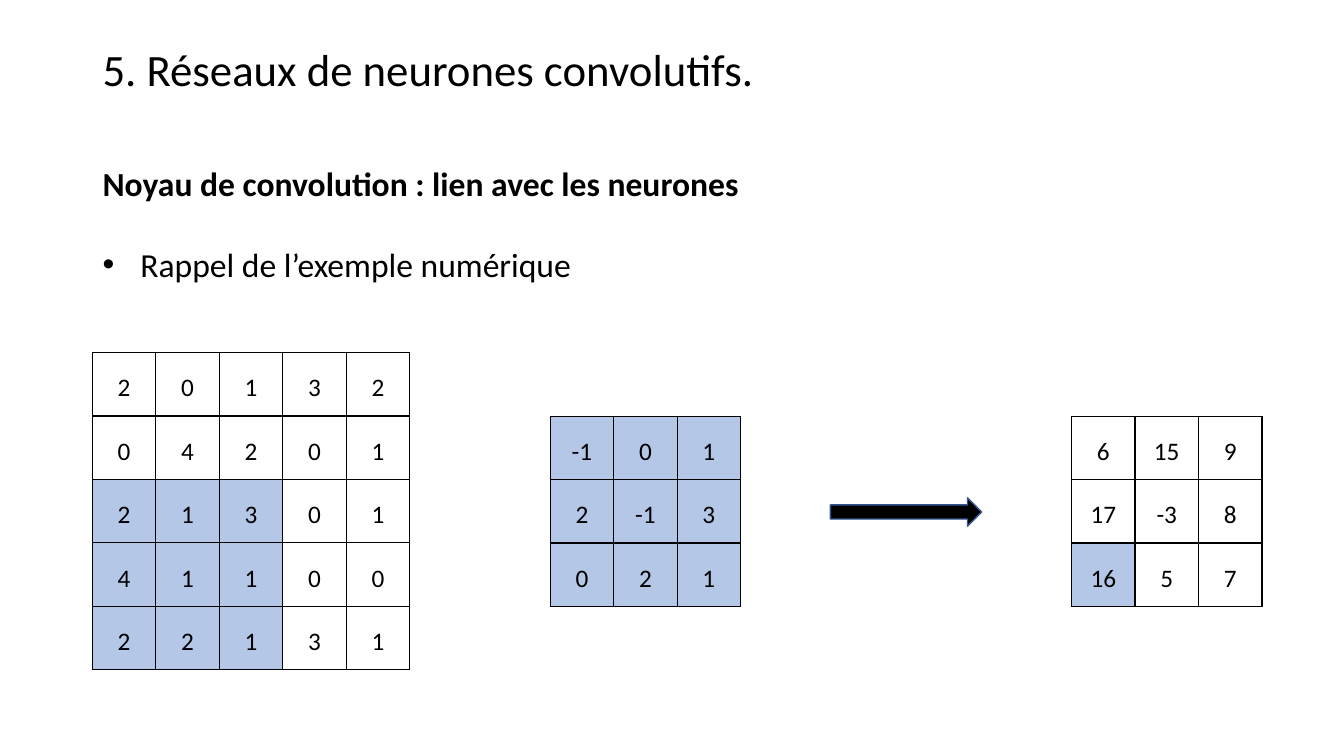
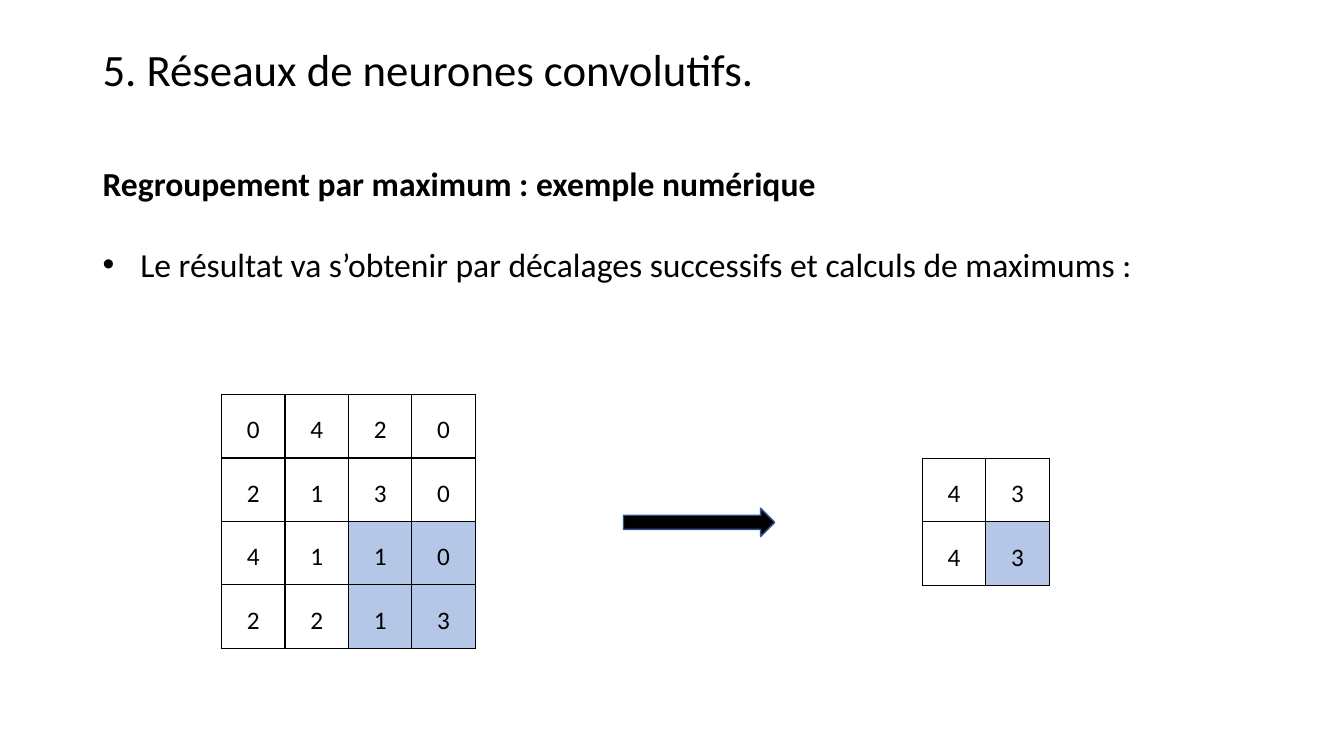
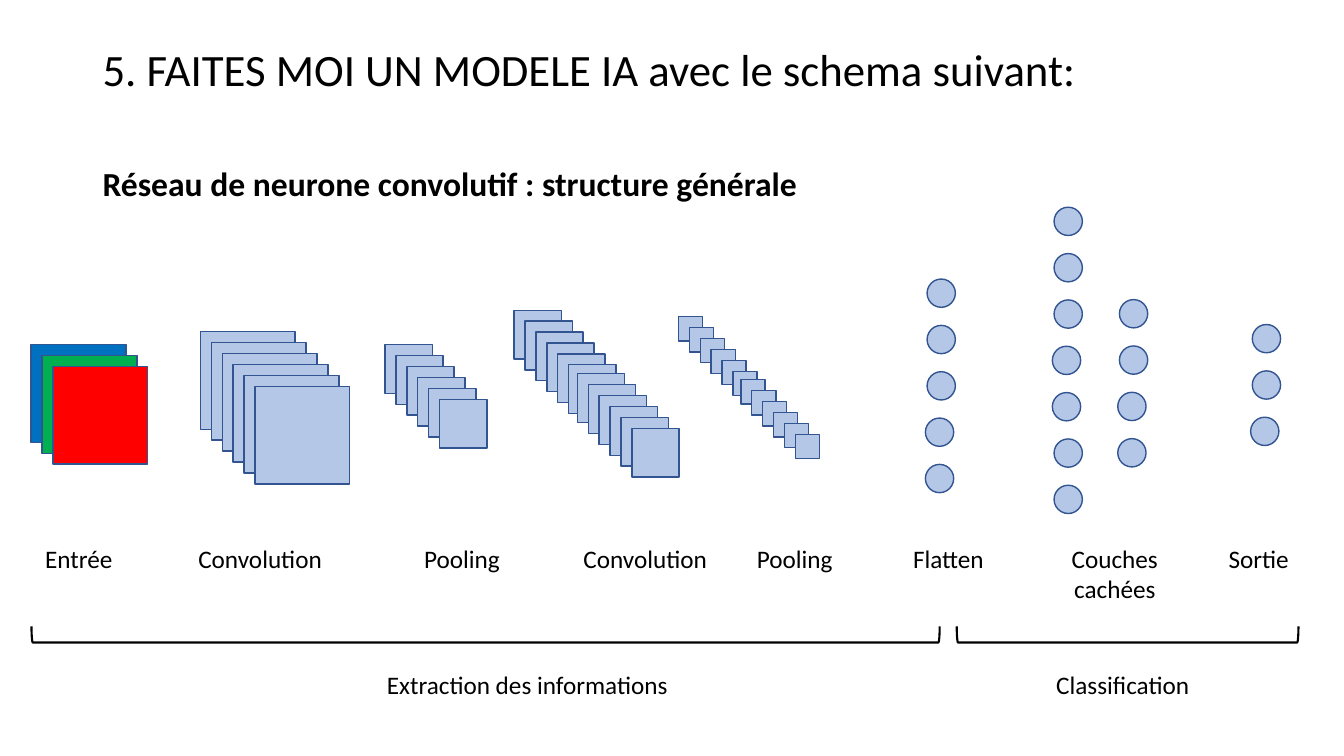
"""Build three slides on convolution, max pooling and the structure of a convolutional network."""
import dataclasses

import lxml.etree
import pptx
import pptx.dml.color
import pptx.enum.shapes
import pptx.enum.text
import pptx.oxml.ns
import pptx.util

Pt = pptx.util.Pt
Color = pptx.dml.color.RGBColor.from_string
Shape = pptx.enum.shapes.MSO_SHAPE
Align = pptx.enum.text.PP_ALIGN
Anchor = pptx.enum.text.MSO_ANCHOR
qualified = pptx.oxml.ns.qn


@dataclasses.dataclass(frozen=True)
class Theme:
    font: str = "Calibri"
    title_size: int = 32
    body_size: int = 24
    label_size: int = 18
    black: str = "000000"
    light_blue: str = "B4C7E7"
    outline: str = "325491"
    input_channels: tuple = ("0070C0", "00B050", "FF0000")


theme = Theme()


def write_text(frame, text, size=theme.label_size, bold=False, align=Align.LEFT,
               anchor=Anchor.TOP, spacing=1.0, before=0, bullet_indent=0):
    """Write a paragraph, after any text that the frame already holds."""
    frame.word_wrap = True
    frame.vertical_anchor = anchor
    paragraph = frame.add_paragraph() if frame.text else frame.paragraphs[0]
    paragraph.alignment = align
    paragraph.line_spacing = spacing
    paragraph.space_before = Pt(before)
    run = paragraph.add_run()
    run.text = text
    run.font.name = theme.font
    run.font.size = Pt(size)
    run.font.bold = bold
    run.font.color.rgb = Color(theme.black)
    if bullet_indent:
        properties = paragraph._p.get_or_add_pPr()
        properties.set("marL", str(Pt(bullet_indent)))
        properties.set("indent", str(-Pt(bullet_indent)))
        lxml.etree.SubElement(properties, qualified("a:buFont")).set("typeface", "Arial")
        lxml.etree.SubElement(properties, qualified("a:buChar")).set("char", "•")


def add_shape(slide, kind, left, top, width, height, fill=theme.light_blue,
              line=theme.outline, line_width=1):
    """Add a flat preset shape; a fill of None leaves it hollow."""
    shape = slide.shapes.add_shape(kind, Pt(left), Pt(top), Pt(width), Pt(height))
    shape.shadow.inherit = False
    if fill:
        shape.fill.solid()
        shape.fill.fore_color.rgb = Color(fill)
    else:
        shape.fill.background()
    shape.line.color.rgb = Color(line)
    shape.line.width = Pt(line_width)
    return shape


presentation = pptx.Presentation()
presentation.slide_width = Pt(960)
presentation.slide_height = Pt(540)

margin = 66.2
content_width = 828
cell_size = 45.35

pages = [
    {
        "title": "5. Réseaux de neurones convolutifs.",
        "heading": "Noyau de convolution : lien avec les neurones",
        "bullet": "Rappel de l’exemple numérique",
        "matrices": [
            (66, 251.8, ["2 0 1 3 2", "0 4 2 0 1", "2 1 3 0 1", "4 1 1 0 0", "2 2 1 3 1"],
             range(2, 5), range(0, 3)),
            (393, 297.2, ["-1 0 1", "2 -1 3", "0 2 1"], range(3), range(3)),
            (765.4, 297.2, ["6 15 9", "17 -3 8", "16 5 7"], range(2, 3), range(1)),
        ],
        "arrows": [(593.2, 355.6)],
    },
    {
        "title": "5. Réseaux de neurones convolutifs.",
        "heading": "Regroupement par maximum : exemple numérique",
        "bullet": "Le résultat va s’obtenir par décalages successifs et calculs de maximums :",
        "matrices": [
            (158.2, 281.8, ["0 4 2 0", "2 1 3 0", "4 1 1 0", "2 2 1 3"],
             range(2, 4), range(2, 4)),
            (658.8, 327.4, ["4 3", "4 3"], range(1, 2), range(1, 2)),
        ],
        "arrows": [(445.4, 363)],
    },
    {
        "title": "5. FAITES MOI UN MODELE IA avec le schema suivant:",
        "heading": "Réseau de neurone convolutif : structure générale",
        "bullet": None,
        "matrices": [],
        "arrows": [],
    },
]

for page in pages:
    slide = presentation.slides.add_slide(presentation.slide_layouts[6])
    title_box = slide.shapes.add_textbox(Pt(margin), Pt(28.8), Pt(content_width), Pt(45.4))
    write_text(title_box.text_frame, page["title"], size=theme.title_size,
               anchor=Anchor.MIDDLE, spacing=0.9)
    body_height = 94.4 if page["bullet"] else 36
    body_box = slide.shapes.add_textbox(Pt(margin), Pt(113), Pt(content_width), Pt(body_height))
    write_text(body_box.text_frame, page["heading"], size=theme.body_size, bold=True)
    if page["bullet"]:
        write_text(body_box.text_frame, page["bullet"], size=theme.body_size,
                   before=28.8, bullet_indent=27)

    for left, top, rows, shaded_rows, shaded_columns in page["matrices"]:
        values = [row.split() for row in rows]
        side = len(values)
        table = slide.shapes.add_table(side, side, Pt(left), Pt(top),
                                       Pt(side * cell_size), Pt(side * cell_size)).table
        table.first_row = False
        table.horz_banding = False
        for index in range(side):
            table.columns[index].width = Pt(cell_size)
            table.rows[index].height = Pt(cell_size)
        for row_index, row in enumerate(values):
            for column_index, value in enumerate(row):
                cell = table.cell(row_index, column_index)
                write_text(cell.text_frame, value, align=Align.CENTER, spacing=1.5)
                properties = cell._tc.get_or_add_tcPr()
                for edge in ("a:lnL", "a:lnR", "a:lnT", "a:lnB"):
                    border = lxml.etree.SubElement(properties, qualified(edge))
                    border.set("w", str(Pt(1)))
                    border_fill = lxml.etree.SubElement(border, qualified("a:solidFill"))
                    border_color = lxml.etree.SubElement(border_fill, qualified("a:srgbClr"))
                    border_color.set("val", theme.black)
                if row_index in shaded_rows and column_index in shaded_columns:
                    cell.fill.solid()
                    cell.fill.fore_color.rgb = Color(theme.light_blue)
                else:
                    cell.fill.background()

    for left, top in page["arrows"]:
        add_shape(slide, Shape.RIGHT_ARROW, left, top, 108, 20.2, fill=theme.black)

stack_step = 7.8
six_maps = (theme.light_blue,) * 6
feature_maps = [
    (22.3, 246.2, 67.7, 69.8, theme.input_channels),
    (143.2, 236.9, 67.7, 69.8, six_maps),
    (275, 246.2, 33.8, 34.8, six_maps),
    (367.2, 221.6, 33.8, 34.8, six_maps),
    (412.4, 267, 33.8, 34.8, six_maps),
    (484.6, 226.2, 17.2, 17.4, six_maps),
    (529.2, 271.3, 17.2, 17.4, six_maps),
]
for left, top, width, height, colors in feature_maps:
    for index, color in enumerate(colors):
        offset = index * stack_step
        add_shape(slide, Shape.RECTANGLE, left + offset, top + offset, width, height, fill=color)

neuron_size = 20.2
neuron_pitch = 33.1
neuron_shift = 1.2
neuron_layers = [
    (662.2, 199.3, 5, (3, 4)),
    (752.9, 148, 7, (3, 4)),
    (799.6, 214, 4, (2, 3)),
    (894.5, 231.8, 3, (2,)),
]
for left, top, count, shifted in neuron_layers:
    for index in range(count):
        neuron_left = left - neuron_shift if index in shifted else left
        add_shape(slide, Shape.OVAL, neuron_left, top + index * neuron_pitch,
                  neuron_size, neuron_size)

stage_top = 384.5
group_top = 474.5
labels = [
    ("Entrée", 25.2, stage_top, 65.5, Align.LEFT),
    ("Convolution", 134.6, stage_top, 115.2, Align.LEFT),
    ("Pooling", 295.9, stage_top, 72, Align.LEFT),
    ("Convolution", 409.7, stage_top, 115.2, Align.LEFT),
    ("Pooling", 533.5, stage_top, 72, Align.LEFT),
    ("Flatten", 645.1, stage_top, 72, Align.LEFT),
    ("Couches cachées", 756, stage_top, 80.6, Align.CENTER),
    ("Sortie", 870.5, stage_top, 65.5, Align.LEFT),
    ("Extraction des informations", 269.3, group_top, 218.9, Align.LEFT),
    ("Classification", 747.4, group_top, 122.4, Align.LEFT),
]
for text, left, top, width, align in labels:
    label_box = slide.shapes.add_textbox(Pt(left), Pt(top), Pt(width), Pt(29))
    write_text(label_box.text_frame, text, align=align)

bracket_depth = 11.5
bracket_middle = 453.2
for left, length in ((22.5, 648.7), (683.4, 244.1)):
    bracket = add_shape(slide, Shape.LEFT_BRACKET, left + (length - bracket_depth) / 2,
                        bracket_middle - length / 2, bracket_depth, length,
                        fill=None, line=theme.black, line_width=1.5)
    bracket.rotation = 270

presentation.save("out.pptx")
